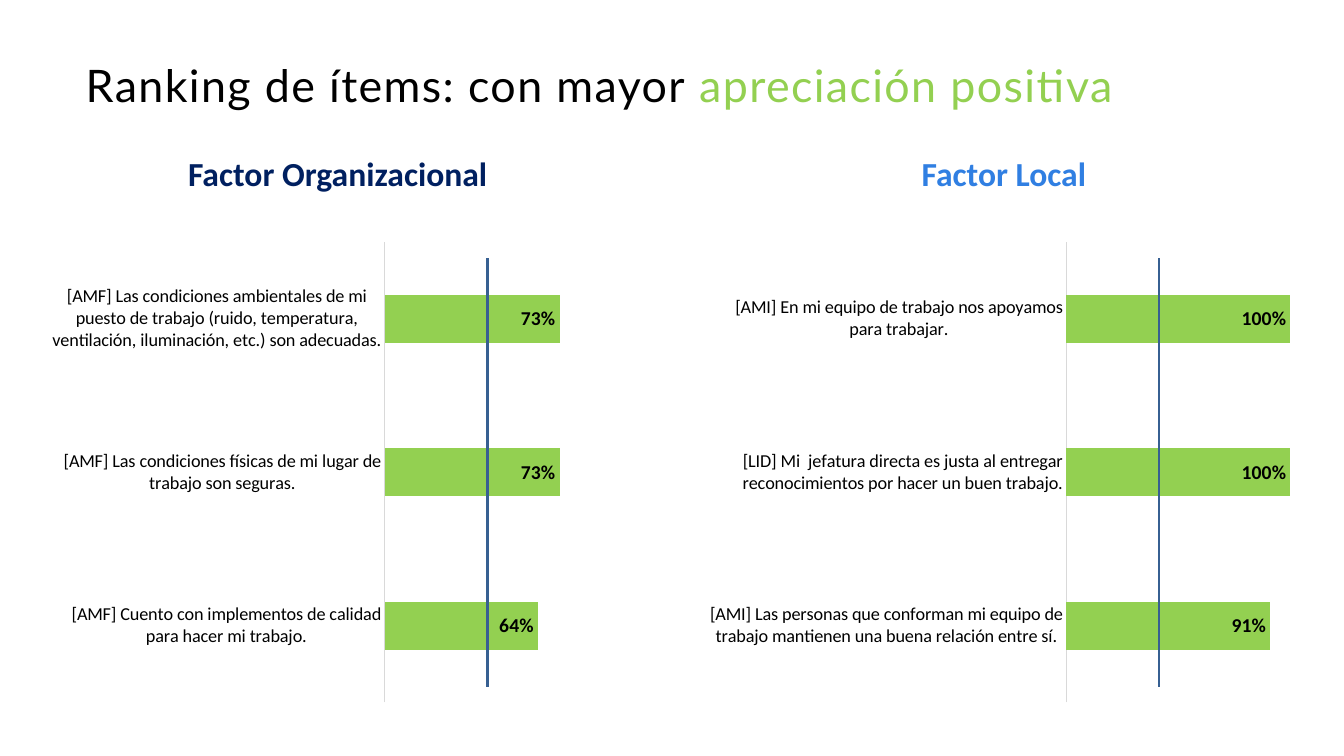
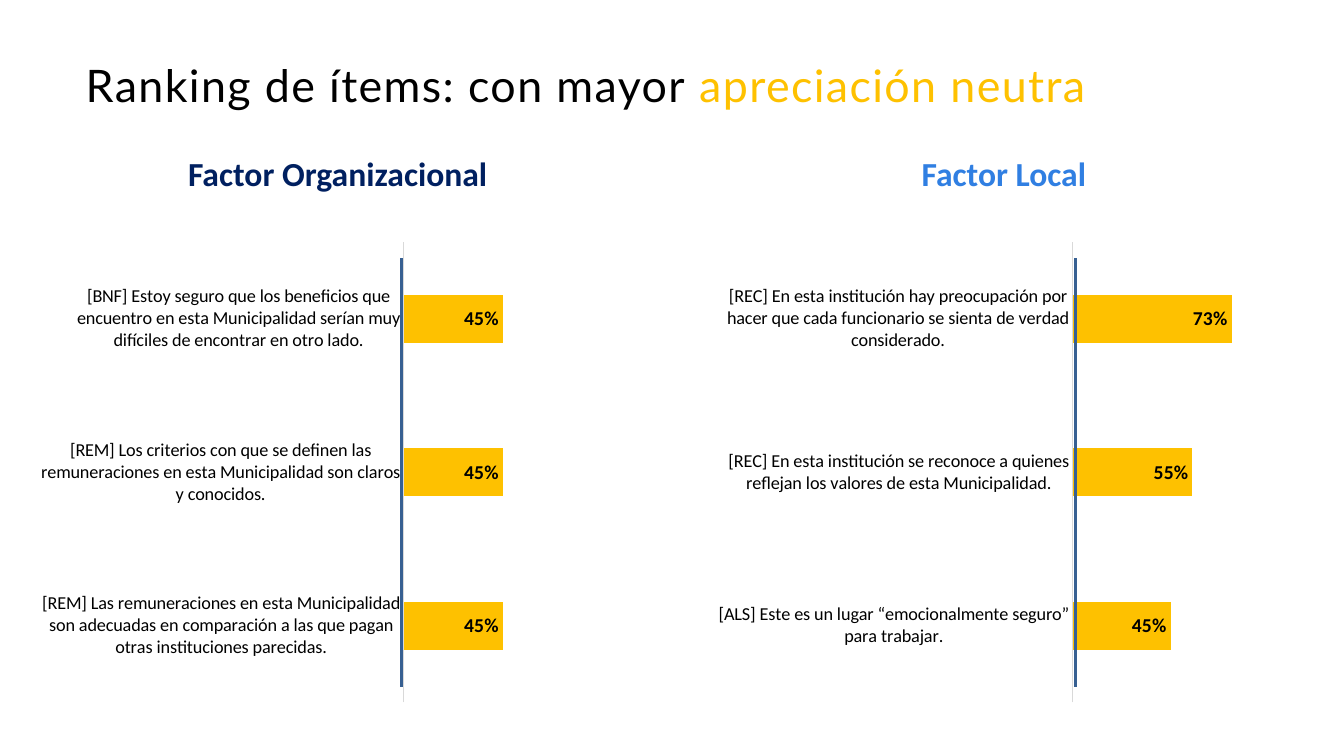
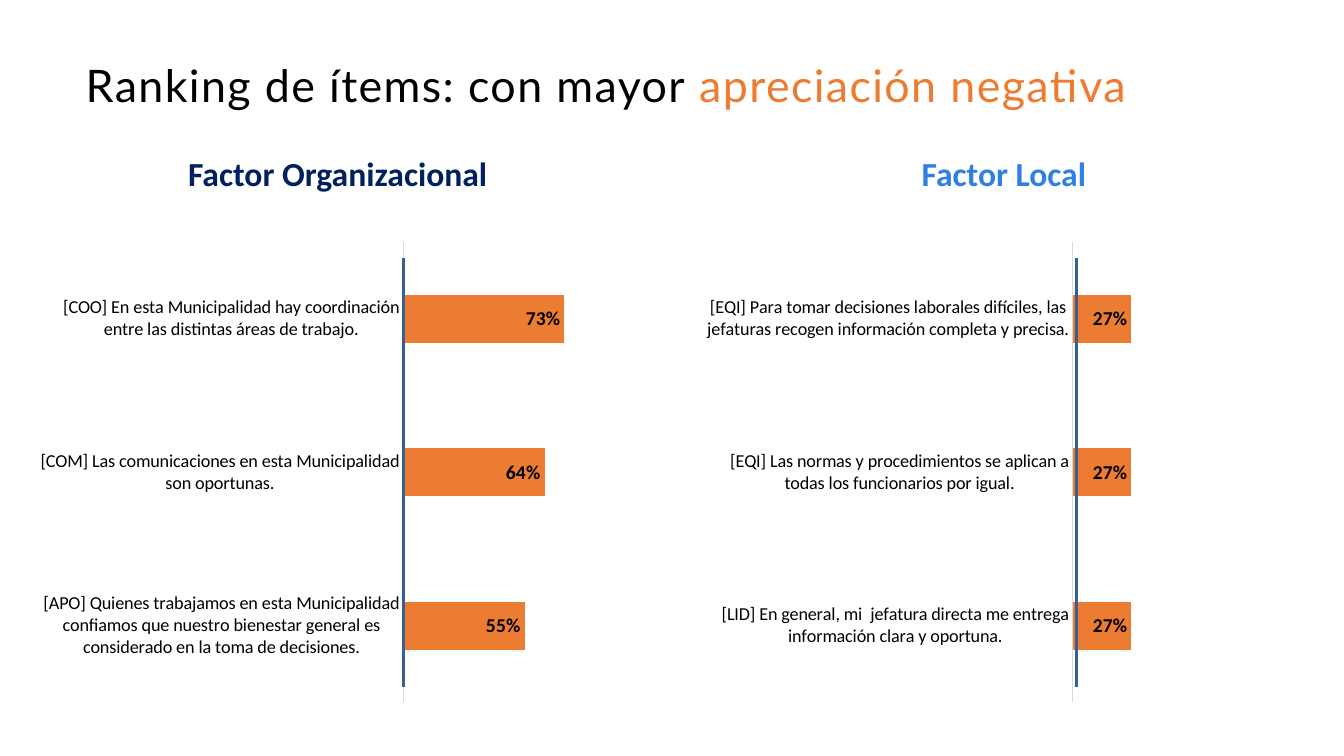
from lxml import etree
from pptx import Presentation
from pptx.chart.data import CategoryChartData
from pptx.dml.color import RGBColor
from pptx.enum import chart as chart_enum, shapes, text
from pptx.oxml.ns import qn
from pptx.util import Cm, Pt

BLACK = RGBColor(0x00, 0x00, 0x00)
WHITE = RGBColor(0xFF, 0xFF, 0xFF)
AXIS_GREY = RGBColor(0xD9, 0xD9, 0xD9)
REFERENCE_BLUE = RGBColor(0x37, 0x60, 0x92)
NAVY = RGBColor(0x00, 0x20, 0x60)
BLUE = RGBColor(0x30, 0x7F, 0xE2)
GREEN = RGBColor(0x93, 0xD0, 0x51)
YELLOW = RGBColor(0xFE, 0xC1, 0x00)
ORANGE = RGBColor(0xEC, 0x7C, 0x31)

TITLE_FONT, BODY_FONT = "Lato", "Calibri"
TITLE_START = "Ranking de ítems: con mayor "

# Heading, its colour, left of the heading, left of the chart
FACTORS = [
    ("Factor Organizacional", NAVY, Cm(2.11), Cm(1.02)),
    ("Factor Local", BLUE, Cm(18.9), Cm(17.81)),
]

# Each factor has the x of its reference line and its items from top to bottom
RANKINGS = [
    ("apreciación positiva", GREEN, [
        (Cm(12.29), [
            ("[AMF] Las condiciones ambientales de mi puesto de trabajo (ruido, temperatura, "
             "ventilación, iluminación, etc.) son adecuadas.", 0.73),
            ("[AMF] Las condiciones físicas de mi lugar de trabajo son seguras.", 0.73),
            ("[AMF] Cuento con implementos de calidad para hacer mi trabajo.", 0.64),
        ]),
        (Cm(29.21), [
            ("[AMI] En mi equipo de trabajo nos apoyamos para trabajar.", 1),
            ("[LID] Mi  jefatura directa es justa al entregar reconocimientos por hacer "
             "un buen trabajo.", 1),
            ("[AMI] Las personas que conforman mi equipo de trabajo mantienen una buena "
             "relación entre sí.", 0.91),
        ]),
    ]),
    ("apreciación neutra", YELLOW, [
        (Cm(10.11), [
            ("[BNF] Estoy seguro que los beneficios que encuentro en esta Municipalidad "
             "serían muy difíciles de encontrar en otro lado.", 0.45),
            ("[REM] Los criterios con que se definen las remuneraciones en esta "
             "Municipalidad son claros y conocidos.", 0.45),
            ("[REM] Las remuneraciones en esta Municipalidad son adecuadas en comparación "
             "a las que pagan otras instituciones parecidas.", 0.45),
        ]),
        (Cm(27.1), [
            ("[REC] En esta institución hay preocupación por hacer que cada funcionario "
             "se sienta de verdad considerado.", 0.73),
            ("[REC] En esta institución se reconoce a quienes reflejan los valores de "
             "esta Municipalidad.", 0.55),
            ("[ALS] Este es un lugar “emocionalmente seguro” para trabajar.", 0.45),
        ]),
    ]),
    ("apreciación negativa", ORANGE, [
        (Cm(10.16), [
            ("[COO] En esta Municipalidad hay coordinación entre las distintas áreas de "
             "trabajo.", 0.73),
            ("[COM] Las comunicaciones en esta Municipalidad son oportunas.", 0.64),
            ("[APO] Quienes trabajamos en esta Municipalidad confiamos que nuestro "
             "bienestar general es considerado en la toma de decisiones.", 0.55),
        ]),
        (Cm(27.13), [
            ("[EQI] Para tomar decisiones laborales difíciles, las jefaturas recogen "
             "información completa y precisa.", 0.27),
            ("[EQI] Las normas y procedimientos se aplican a todas los funcionarios por "
             "igual.", 0.27),
            ("[LID] En general, mi  jefatura directa me entrega información clara y "
             "oportuna.", 0.27),
        ]),
    ]),
]


def format_font(font, size, color, name=BODY_FONT, bold=False):
    font.size, font.name, font.bold = Pt(size), name, bold
    font.color.rgb = color


def write_text(shape, pieces, align, spacing=None, **font_format):
    """Fill a shape with one paragraph made of (text, colour) pieces."""
    frame = shape.text_frame
    frame.word_wrap = True
    frame.auto_size = text.MSO_AUTO_SIZE.NONE
    frame.vertical_anchor = text.MSO_ANCHOR.MIDDLE
    paragraph = frame.paragraphs[0]
    paragraph.alignment = align
    paragraph.line_spacing = 0.9
    paragraph.space_before = Pt(0)
    for content, color in pieces:
        run = paragraph.add_run()
        run.text = content
        format_font(run.font, color=color, **font_format)
        if spacing:
            run._r.get_or_add_rPr().set("spc", str(spacing * 100))


def add_title(slide, ending, color):
    title = slide.shapes.title
    title.left, title.top, title.width, title.height = Cm(2.16), Cm(0.86), Cm(29.92), Cm(2.69)
    frame = title.text_frame
    frame.margin_left = frame.margin_right = frame.margin_top = frame.margin_bottom = 0
    write_text(title, [(TITLE_START, BLACK), (ending, color)], text.PP_ALIGN.LEFT,
               spacing=1, size=32, name=TITLE_FONT)


def add_ranking_chart(slide, left, items, color):
    data = CategoryChartData(number_format="0%")
    bottom_up = items[::-1]
    data.categories = [label for label, _ in bottom_up]
    data.add_series("Series 1", [value for _, value in bottom_up])
    chart = slide.shapes.add_chart(chart_enum.XL_CHART_TYPE.BAR_CLUSTERED, left, Cm(5.87),
                                   Cm(15.01), Cm(12.07), data).chart
    chart.has_legend = chart.has_title = False
    format_font(chart.font, 10, WHITE)

    category_axis = chart.category_axis
    category_axis.major_tick_mark = chart_enum.XL_TICK_MARK.NONE
    category_axis.minor_tick_mark = chart_enum.XL_TICK_MARK.NONE
    category_axis.format.line.color.rgb = AXIS_GREY
    category_axis.format.line.width = Pt(0.75)
    format_font(category_axis.tick_labels.font, 13, BLACK)

    value_axis = chart.value_axis
    value_axis.minimum_scale, value_axis.maximum_scale = 0, 1
    value_axis.has_major_gridlines = False
    value_axis.visible = False

    plot = chart.plots[0]
    plot.gap_width = 219
    plot.vary_by_categories = False
    fill = plot.series[0].format.fill
    fill.solid()
    fill.fore_color.rgb = color
    plot.has_data_labels = True
    labels = plot.data_labels
    labels.show_value = True
    labels.number_format, labels.number_format_is_linked = "0%", False
    labels.position = chart_enum.XL_LABEL_POSITION.INSIDE_END
    format_font(labels.font, 14, BLACK, bold=True)


def add_reference_line(slide, x):
    line = slide.shapes.add_connector(shapes.MSO_CONNECTOR.STRAIGHT, x, Cm(17.3), x, Cm(6.5))
    line.line.color.rgb = REFERENCE_BLUE
    line.line.width = Pt(2)
    etree.SubElement(line._element.spPr, qn("a:effectLst"))


def main():
    presentation = Presentation()
    presentation.slide_width, presentation.slide_height = Cm(33.87), Cm(19.05)
    title_only = presentation.slide_layouts[5]
    for ending, color, factor_data in RANKINGS:
        slide = presentation.slides.add_slide(title_only)
        add_title(slide, ending, color)
        for factor, (line_x, items) in zip(FACTORS, factor_data):
            heading, heading_color, heading_left, chart_left = factor
            box = slide.shapes.add_textbox(heading_left, Cm(4.01), Cm(12.8), Cm(0.84))
            write_text(box, [(heading, heading_color)], text.PP_ALIGN.CENTER,
                       size=24, bold=True)
            add_ranking_chart(slide, chart_left, items, color)
            add_reference_line(slide, line_x)
    presentation.save("out.pptx")


if __name__ == "__main__":
    main()
